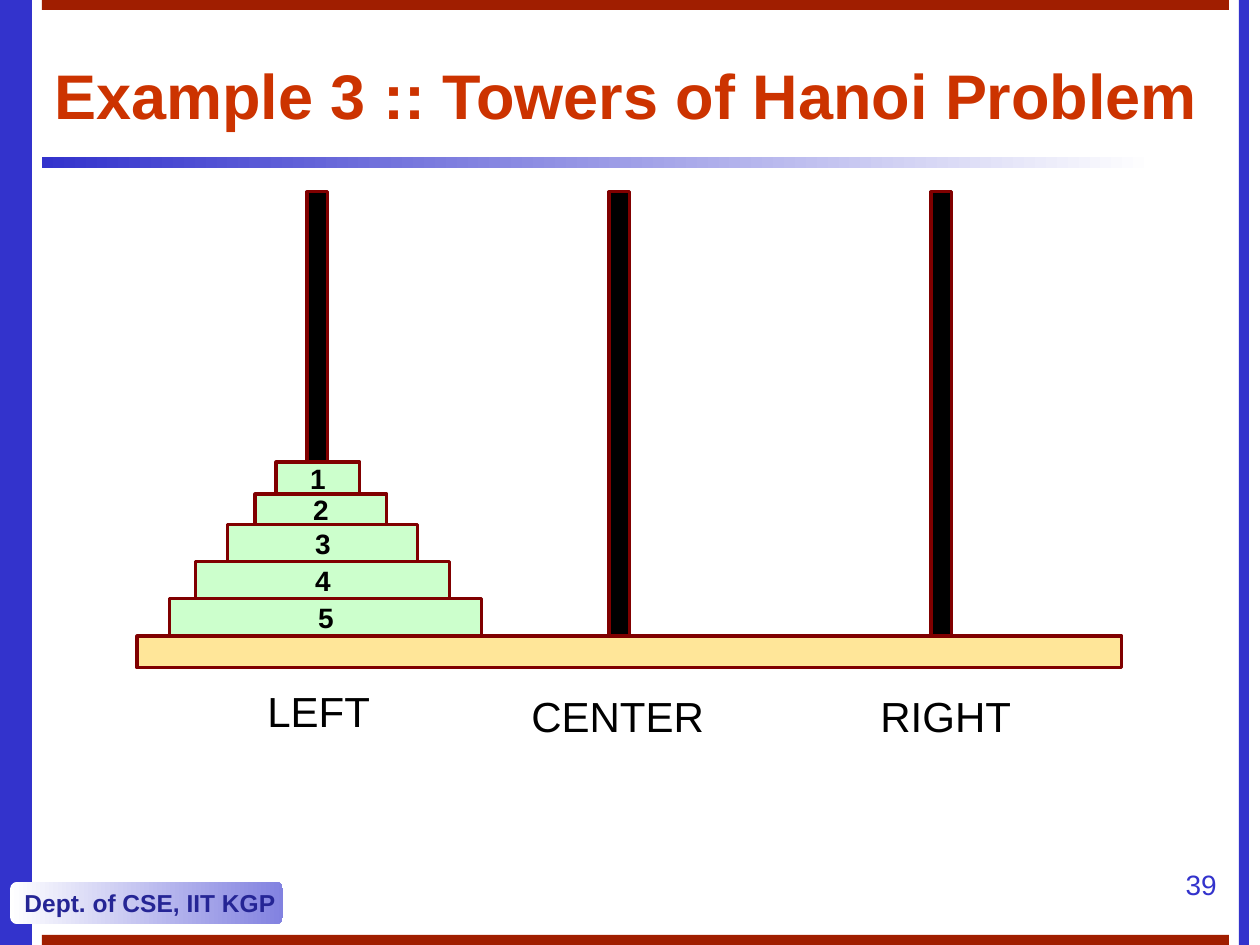
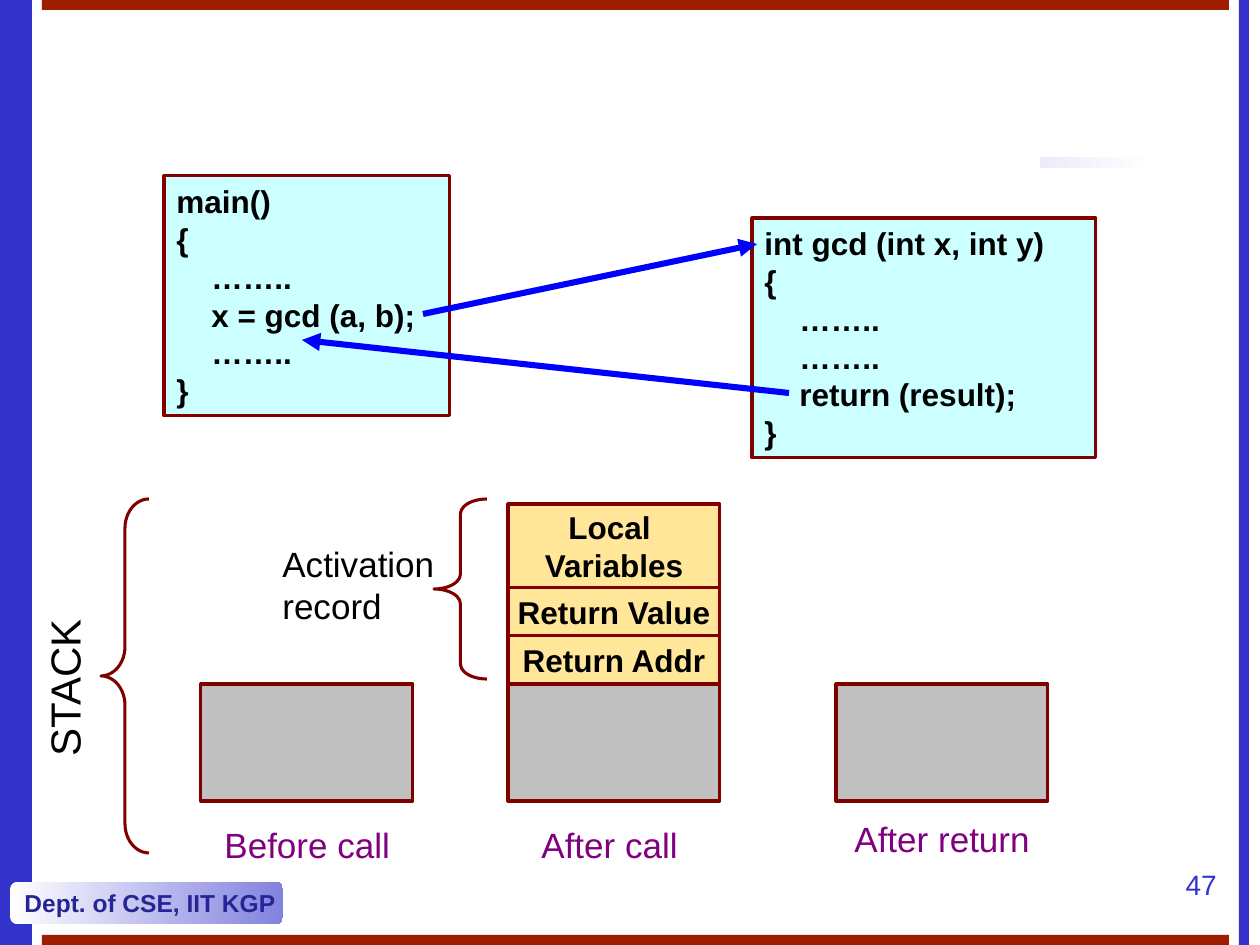
from dataclasses import dataclass

from lxml.etree import SubElement
from pptx import Presentation
from pptx.dml.color import RGBColor
from pptx.enum.shapes import MSO_CONNECTOR, MSO_SHAPE
from pptx.enum.text import MSO_ANCHOR, PP_ALIGN
from pptx.oxml.ns import qn
from pptx.shapes.autoshape import Shape
from pptx.slide import Slide
from pptx.util import Pt

# Scale: 126 px to the inch
EMU_PER_PX = 914400 / 126
SLIDE_W, SLIDE_H = 1260, 945

# Colours
WHITE = RGBColor(0xFF, 0xFF, 0xFF)
BLACK = RGBColor(0x00, 0x00, 0x00)
BAND_BLUE = RGBColor(0x33, 0x33, 0xCC)
BADGE_BLUE = RGBColor(0x82, 0x82, 0xE0)
BADGE_TEXT = RGBColor(0x25, 0x25, 0x95)
BAND_RED = RGBColor(0xA0, 0x1E, 0x00)
TITLE_RED = RGBColor(0xCC, 0x33, 0x00)
OUTLINE = RGBColor(0x80, 0x00, 0x00)
BASE_YELLOW = RGBColor(0xFF, 0xE6, 0x99)
DISK_GREEN = RGBColor(0xCC, 0xFF, 0xCC)
CODE_CYAN = RGBColor(0xCC, 0xFF, 0xFF)
STACK_GREY = RGBColor(0xC0, 0xC0, 0xC0)
CALL_BLUE = RGBColor(0x00, 0x00, 0xFF)
STAGE_PURPLE = RGBColor(0x80, 0x00, 0x80)

FONT = "Arial"
OUTLINE_PT = 1.75


@dataclass(frozen=True)
class Box:
    left: int
    top: int
    width: int
    height: int


@dataclass(frozen=True)
class TextStyle:
    size: int
    color: RGBColor = BLACK
    bold: bool = False
    align: PP_ALIGN = PP_ALIGN.LEFT
    anchor: MSO_ANCHOR = MSO_ANCHOR.TOP
    wrap: bool = True


@dataclass(frozen=True)
class Disk:
    label: str
    left: int
    width: int
    height: int


@dataclass(frozen=True)
class Label:
    text: str
    box: Box


@dataclass(frozen=True)
class Brace:
    box: Box
    curve: float


@dataclass(frozen=True)
class Arrow:
    start: tuple[int, int]
    end: tuple[int, int]


TITLE = TextStyle(36, TITLE_RED, True, anchor=MSO_ANCHOR.MIDDLE)
BADGE = TextStyle(14, BADGE_TEXT, True, anchor=MSO_ANCHOR.MIDDLE, wrap=False)
PAGE_NUMBER = TextStyle(16, BAND_BLUE, align=PP_ALIGN.RIGHT)
DISK_LABEL = TextStyle(16, BLACK, True, PP_ALIGN.CENTER, MSO_ANCHOR.MIDDLE, False)
RECORD_LABEL = TextStyle(18, BLACK, True, PP_ALIGN.CENTER, MSO_ANCHOR.MIDDLE, False)
CODE = TextStyle(18, BLACK, True)
LARGE_LABEL = TextStyle(24)
NOTE = TextStyle(20)
STAGE = TextStyle(20, STAGE_PURPLE)


# Drawing helpers
def emu(px: int) -> int:
    return round(px * EMU_PER_PX)


def frame(box: Box) -> tuple[int, int, int, int]:
    return emu(box.left), emu(box.top), emu(box.width), emu(box.height)


def write(shape: Shape, text: str, style: TextStyle) -> None:
    text_frame = shape.text_frame
    text_frame.word_wrap = style.wrap
    text_frame.vertical_anchor = style.anchor
    text_frame.text = text
    for paragraph in text_frame.paragraphs:
        paragraph.alignment = style.align
        for run in paragraph.runs:
            run.font.name = FONT
            run.font.size = Pt(style.size)
            run.font.bold = style.bold
            run.font.color.rgb = style.color


def add_text(slide: Slide, box: Box, text: str, style: TextStyle) -> Shape:
    text_box = slide.shapes.add_textbox(*frame(box))
    write(text_box, text, style)
    return text_box


def add_block(slide: Slide, box: Box, fill: RGBColor | None, outlined: bool = True,
              kind: MSO_SHAPE = MSO_SHAPE.RECTANGLE) -> Shape:
    block = slide.shapes.add_shape(kind, *frame(box))
    block.shadow.inherit = False
    if fill is None:
        block.fill.background()
    else:
        block.fill.solid()
        block.fill.fore_color.rgb = fill
    if outlined:
        block.line.color.rgb = OUTLINE
        block.line.width = Pt(OUTLINE_PT)
    else:
        block.line.fill.background()
    return block


def blend(shape: Shape, left: RGBColor, right: RGBColor) -> None:
    shape.fill.gradient()
    shape.fill.gradient_angle = 0
    for stop, color in zip(shape.fill.gradient_stops, (left, right)):
        stop.color.rgb = color


def add_brace(slide: Slide, brace: Brace) -> None:
    shape = add_block(slide, brace.box, None, kind=MSO_SHAPE.LEFT_BRACE)
    shape.adjustments[0] = brace.curve


def add_arrow(slide: Slide, arrow: Arrow) -> None:
    points = [emu(px) for px in (*arrow.start, *arrow.end)]
    connector = slide.shapes.add_connector(MSO_CONNECTOR.STRAIGHT, *points)
    connector.line.color.rgb = CALL_BLUE
    connector.line.width = Pt(3.5)
    SubElement(connector.line._get_or_add_ln(), qn("a:tailEnd"), type="triangle")
    SubElement(connector._element.spPr, qn("a:effectLst"))


# Shared frame of bands, title rule, badge and page number
def add_framed_slide(deck: Presentation, number: int) -> Slide:
    slide = deck.slides.add_slide(deck.slide_layouts[6])
    for left, width in ((0, 32), (1239, 10)):
        add_block(slide, Box(left, 0, width, SLIDE_H), BAND_BLUE, False)
    for top in (0, SLIDE_H - 10):
        add_block(slide, Box(42, top, 1187, 10), BAND_RED, False)
    title_rule = add_block(slide, Box(42, 157, 1113, 11), BAND_BLUE, False)
    blend(title_rule, BAND_BLUE, WHITE)
    badge = add_block(slide, Box(10, 882, 273, 42), BADGE_BLUE, False,
                      MSO_SHAPE.ROUNDED_RECTANGLE)
    blend(badge, WHITE, BADGE_BLUE)
    write(badge, "Dept. of CSE, IIT KGP", BADGE)
    add_text(slide, Box(1155, 861, 74, 63), str(number), PAGE_NUMBER)
    return slide


# Towers of Hanoi
PEG_TOP, BASE_TOP = 192, 636
PEG_LEFTS = (307, 609, 931)
DISKS = (
    Disk("1", 276, 84, 32),
    Disk("2", 255, 132, 31),
    Disk("3", 228, 190, 37),
    Disk("4", 196, 254, 37),
    Disk("5", 170, 312, 37),
)
PEG_LABELS = (
    Label("LEFT", Box(255, 679, 132, 63)),
    Label("CENTER", Box(519, 684, 255, 63)),
    Label("RIGHT", Box(868, 684, 180, 63)),
)


def build_hanoi(deck: Presentation) -> None:
    slide = add_framed_slide(deck, 39)
    add_text(slide, Box(42, 42, 1187, 105), "Example 3 :: Towers of Hanoi Problem", TITLE)
    for left in PEG_LEFTS:
        add_block(slide, Box(left, PEG_TOP, 21, BASE_TOP - PEG_TOP), BLACK)
    add_block(slide, Box(137, BASE_TOP, 985, 32), BASE_YELLOW)

    # Disks rest on the base, the widest at the bottom
    bottom = BASE_TOP
    for disk in reversed(DISKS):
        bottom -= disk.height
        block = add_block(slide, Box(disk.left, bottom, disk.width, disk.height), DISK_GREEN)
        write(block, disk.label, DISK_LABEL)
    for label in PEG_LABELS:
        add_text(slide, label.box, label.text, LARGE_LABEL)


# Call stack of gcd
LISTINGS = (
    Label("main()\n{\n    ……..\n    x = gcd (a, b);\n    ……..\n}",
          Box(164, 176, 286, 240)),
    Label("int gcd (int x, int y)\n{\n    ……..\n    ……..\n    return (result);\n}",
          Box(752, 218, 344, 240)),
)
CALLS = (Arrow((423, 314), (757, 244)), Arrow((789, 393), (302, 340)))
FRAME_TOP, FRAME_W, FRAME_H = 684, 212, 117
FRAME_LEFTS = (201, 508, 836)
RECORD = (("Return Addr", 48), ("Return Value", 48), ("Local \nVariables", 84))
STAGES = (
    Label("Before call", Box(212, 817, 260, 55)),
    Label("After call", Box(529, 817, 260, 55)),
    Label("After return", Box(842, 811, 260, 55)),
)
BRACES = (Brace(Box(101, 499, 48, 354), 0.61), Brace(Box(434, 499, 53, 180), 0.28))


def build_call_stack(deck: Presentation) -> None:
    slide = add_framed_slide(deck, 47)
    # Only the end of the title rule stays in view
    add_block(slide, Box(42, 126, 998, 47), WHITE, False)

    for listing in LISTINGS:
        write(add_block(slide, listing.box, CODE_CYAN), listing.text, CODE)
    for call in CALLS:
        add_arrow(slide, call)

    # Stack frames, with the activation record on the middle one
    for left in FRAME_LEFTS:
        add_block(slide, Box(left, FRAME_TOP, FRAME_W, FRAME_H), STACK_GREY)
    top = FRAME_TOP
    for text, height in RECORD:
        top -= height
        entry = add_block(slide, Box(FRAME_LEFTS[1], top, FRAME_W, height), BASE_YELLOW)
        write(entry, text, RECORD_LABEL)

    # Braces and labels
    for brace in BRACES:
        add_brace(slide, brace)
    add_text(slide, Box(270, 536, 228, 97), "Activation record", NOTE)
    stack_label = add_text(slide, Box(-92, 581, 312, 63), "STACK", LARGE_LABEL)
    stack_label.rotation = 270
    for stage in STAGES:
        add_text(slide, stage.box, stage.text, STAGE)


def main() -> None:
    deck = Presentation()
    deck.slide_width, deck.slide_height = emu(SLIDE_W), emu(SLIDE_H)
    build_hanoi(deck)
    build_call_stack(deck)
    deck.save("out.pptx")


if __name__ == "__main__":
    main()
